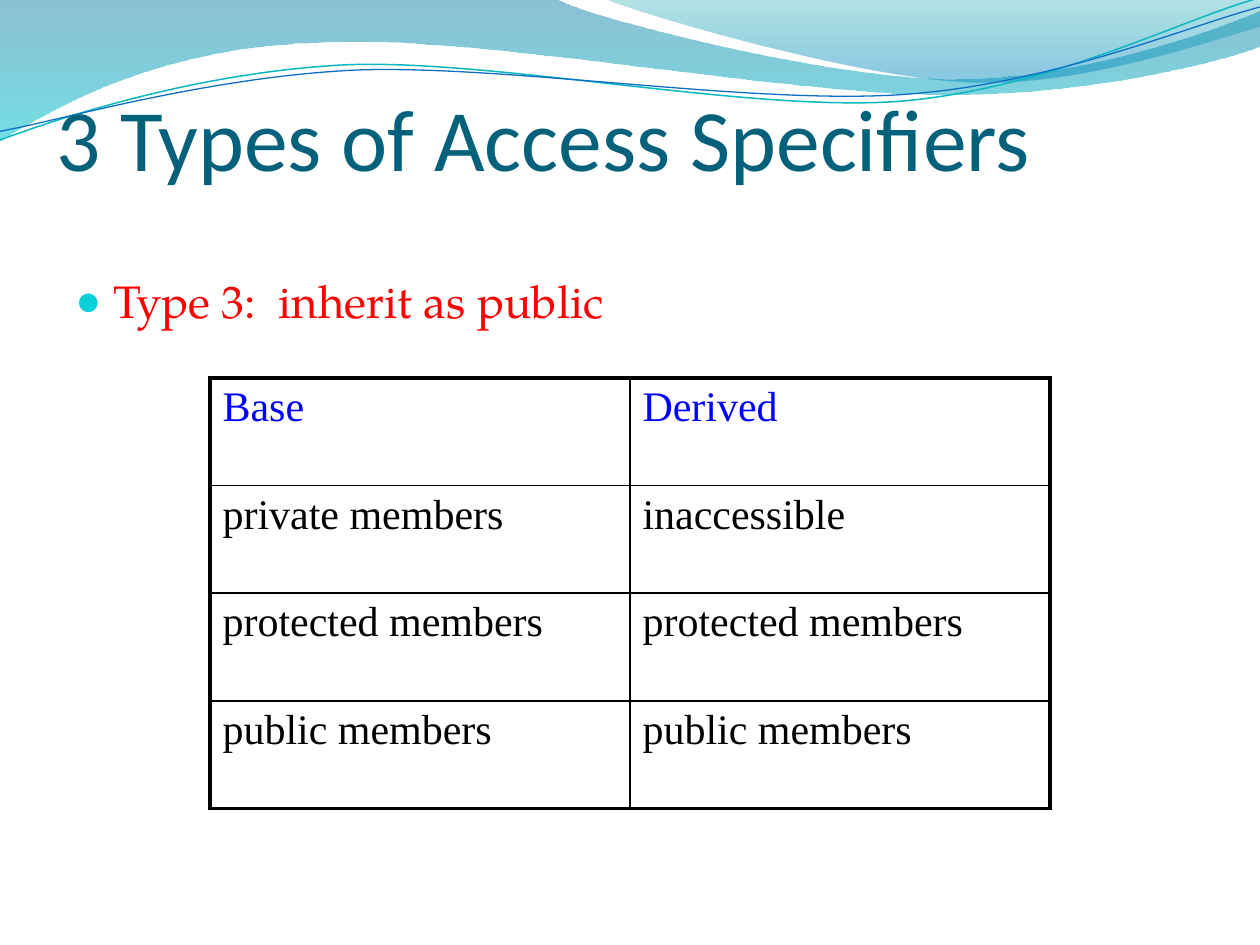
from dataclasses import dataclass
from typing import Optional

from lxml import etree
from pptx import Presentation
from pptx.dml.color import RGBColor
from pptx.enum import text
from pptx.oxml import ns
from pptx.util import Pt


@dataclass(frozen=True)
class Theme:
    title_font: str = "Calibri"
    body_font: str = "TeX Gyre Pagella"
    table_font: str = "Times New Roman"
    bullet_font: str = "Times New Roman"
    title_size: int = 50
    body_size: int = 26
    table_size: int = 24
    title: str = "04617B"
    body: str = "FF0000"
    bullet: str = "0BD0D9"
    header: str = "0000FF"
    cell: str = "000000"
    border: str = "000000"
    thick: float = 2.25
    thin: float = 1


@dataclass(frozen=True)
class Stop:
    position: float
    color: str
    opacity: int


@dataclass(frozen=True)
class Wave:
    start: tuple[float, float]
    segments: tuple[tuple[float, ...], ...]
    stops: tuple[Stop, ...] = ()
    line: Optional[str] = None
    width: float = 0


THEME = Theme()

WAVES = (
    Wave(
        (0, 0),
        ((317, -1), (343, 12, 478, 45, 546, 45), (614, 45, 690, 19, 720, 6),
         (721, 26), (708, 32, 626, 55, 537, 54), (446, 54, 275, 20, 185, 24),
         (93, 26, 33, 60, -1, 81)),
        stops=(Stop(0, "0074A1", 45), Stop(1, "00C6CF", 55)),
    ),
    Wave(
        (345, -1),
        ((366, 8, 491, 45, 554, 47), (616, 50, 692, 23, 720, 15), (720, 0)),
        stops=(Stop(0, "00A1A9", 30), Stop(0.8, "008BBF", 45)),
    ),
    Wave(
        (0, 80),
        ((35, 67, 114, 41, 199, 37), (284, 34, 427, 64, 513, 58),
         (600, 51, 675, 11, 719, -1)),
        line="0AB8BF", width=0.85,
    ),
    Wave(
        (0, 75),
        ((34, 69, 118, 44, 204, 40), (290, 37, 430, 60, 516, 54),
         (602, 48, 678, 15, 720, 4)),
        line="0F6FC6", width=0.75,
    ),
)

ROWS = (
    ("Base", "Derived"),
    ("private members", "inaccessible"),
    ("protected members", "protected members"),
    ("public members", "public members"),
)


def add_element(parent, tag: str, **attributes: str):
    return etree.SubElement(parent, ns.qn(tag), **attributes)


def set_font(p, name: str, size: float, color: str) -> None:
    p.font.name = name
    p.font.size = Pt(size)
    p.font.color.rgb = RGBColor.from_string(color)


def bend_segments(sp, wave: Wave) -> None:
    lines = iter(list(sp.element.spPr.iter(ns.qn("a:lnTo"))))
    for segment in wave.segments:
        first = next(lines)
        if len(segment) == 2:
            continue
        curve = etree.Element(ns.qn("a:cubicBezTo"))
        first.addprevious(curve)
        for line in (first, next(lines), next(lines)):
            curve.append(line[0])
            line.getparent().remove(line)


def draw_wave(s, wave: Wave) -> None:
    points = [segment[k:k + 2] for segment in wave.segments
              for k in range(0, len(segment), 2)]
    builder = s.shapes.build_freeform(*wave.start, scale=Pt(1))
    builder.add_line_segments(points, close=bool(wave.stops))
    sp = builder.convert_to_shape()
    bend_segments(sp, wave)
    sp.shadow.inherit = False
    if wave.line:
        sp.fill.background()
        sp.line.color.rgb = RGBColor.from_string(wave.line)
        sp.line.width = Pt(wave.width)
        return
    sp.line.fill.background()
    sp.fill.gradient()
    sp.fill.gradient_angle = 270
    for gradient_stop, stop in zip(sp.fill.gradient_stops, wave.stops):
        gradient_stop.position = stop.position
        gradient_stop.color.rgb = RGBColor.from_string(stop.color)
    for color, stop in zip(sp.element.spPr.iter(ns.qn("a:srgbClr")), wave.stops):
        add_element(color, "a:alpha", val=str(stop.opacity * 1000))


def draw_title(s, title: str) -> None:
    sp = s.shapes.title
    sp.left, sp.top, sp.width, sp.height = Pt(32), Pt(18), Pt(670), Pt(90)
    tf = sp.text_frame
    tf.text = title
    tf.word_wrap = True
    tf.auto_size = text.MSO_AUTO_SIZE.NONE
    tf.vertical_anchor = text.MSO_ANCHOR.BOTTOM
    tf.margin_left = tf.margin_right = tf.margin_bottom = 0
    tf.margin_top = Pt(3.6)
    p = tf.paragraphs[0]
    p.alignment = text.PP_ALIGN.LEFT
    set_font(p, THEME.title_font, THEME.title_size, THEME.title)
    sp.element.getparent().append(sp.element)


def draw_bullet(s, line: str) -> None:
    tf = s.shapes.add_textbox(Pt(36), Pt(152.6), Pt(648), Pt(345.6)).text_frame
    tf.word_wrap = True
    p = tf.paragraphs[0]
    p.text = line
    pPr = p._p.get_or_add_pPr()
    pPr.set("marL", str(Pt(21.6)))
    pPr.set("indent", str(Pt(-21.6)))
    add_element(add_element(pPr, "a:buClr"), "a:srgbClr", val=THEME.bullet)
    add_element(pPr, "a:buSzPct", val="95000")
    add_element(pPr, "a:buFont", typeface=THEME.bullet_font)
    add_element(pPr, "a:buChar", char="●")
    set_font(p, THEME.body_font, THEME.body_size, THEME.body)


def set_borders(cell, outer: dict[str, bool]) -> None:
    tcPr = cell._tc.get_or_add_tcPr()
    for side, is_outer in outer.items():
        width = THEME.thick if is_outer else THEME.thin
        ln = add_element(tcPr, f"a:ln{side}", w=str(Pt(width)))
        add_element(add_element(ln, "a:solidFill"), "a:srgbClr", val=THEME.border)


def draw_table(s, rows: tuple[tuple[str, ...], ...]) -> None:
    last_row, last_col = len(rows) - 1, len(rows[0]) - 1
    table = s.shapes.add_table(
        len(rows), len(rows[0]), Pt(120), Pt(216), Pt(480), Pt(246)
    ).table
    table.first_row = table.horz_banding = False
    for i, row in enumerate(rows):
        for j, label in enumerate(row):
            cell = table.cell(i, j)
            cell.text = label
            set_borders(cell, {"L": j == 0, "R": j == last_col,
                               "T": i == 0, "B": i == last_row})
            cell.fill.background()
            color = THEME.header if i == 0 else THEME.cell
            set_font(cell.text_frame.paragraphs[0], THEME.table_font, THEME.table_size, color)


def main() -> None:
    prs = Presentation()
    prs.slide_width, prs.slide_height = Pt(720), Pt(540)
    s = prs.slides.add_slide(prs.slide_layouts[5])
    for wave in WAVES:
        draw_wave(s, wave)
    draw_title(s, "3 Types of Access Specifiers")
    draw_bullet(s, "Type 3:  inherit as public")
    draw_table(s, ROWS)
    prs.save("out.pptx")


if __name__ == "__main__":
    main()
